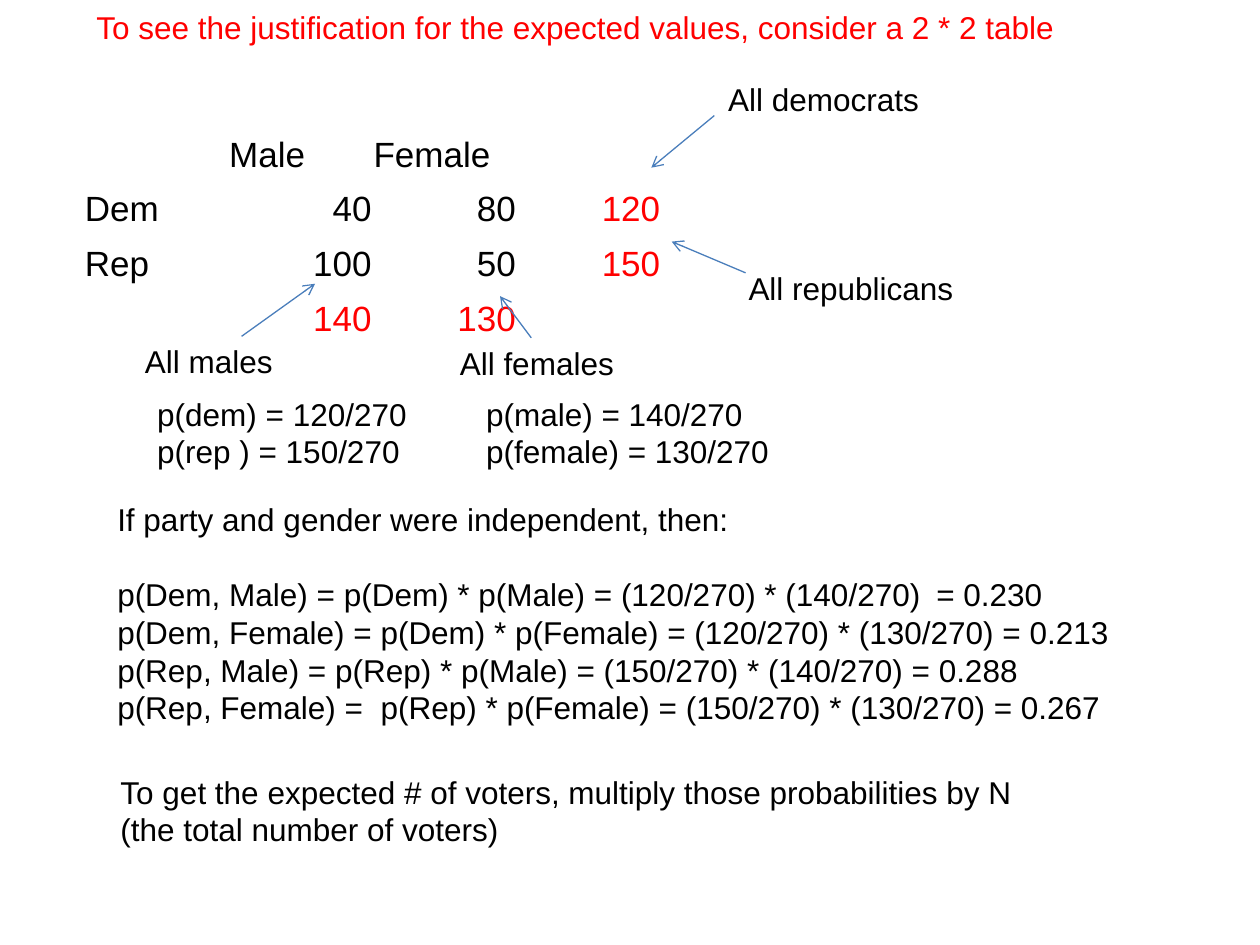
from dataclasses import dataclass

from lxml import etree
from pptx import Presentation
from pptx.dml.color import RGBColor
from pptx.enum.shapes import MSO_CONNECTOR
from pptx.enum.text import MSO_ANCHOR, MSO_AUTO_SIZE, PP_ALIGN
from pptx.oxml.ns import qn
from pptx.util import Cm, Pt

STRAIGHT = MSO_CONNECTOR.STRAIGHT
TOP, BOTTOM = MSO_ANCHOR.TOP, MSO_ANCHOR.BOTTOM
LEFT, RIGHT = PP_ALIGN.LEFT, PP_ALIGN.RIGHT
NO_AUTOFIT = MSO_AUTO_SIZE.NONE


@dataclass(frozen=True)
class Theme:
    font: str = "Arial"
    text: RGBColor = RGBColor(0, 0, 0)
    accent: RGBColor = RGBColor(0xFF, 0, 0)
    arrow: RGBColor = RGBColor(0x4A, 0x7E, 0xBB)
    body_size: Pt = Pt(18)
    table_size: Pt = Pt(20)
    arrow_width: Pt = Pt(0.75)


THEME = Theme()

# Table content: row totals are the last column, column totals the last row
COUNTS = [
    ["", "Male", "Female", ""],
    ["Dem", "40", "80", "120"],
    ["Rep", "100", "50", "150"],
    ["", "140", "130", ""],
    ["", "", "", ""],
]
TOTALS_ROW, TOTALS_COLUMN = 3, 3

# Text boxes: left, top, width, height in cm, then the lines
NOTES = [
    (14.43, 1.48, 4.7, 1.02, ["All democrats"]),
    (14.84, 5.29, 4.8, 1.02, ["All republicans"]),
    (2.67, 6.78, 3.48, 1.02, ["All males"]),
    (9.02, 6.81, 6.86, 1.02, ["All females"]),
    (2.92, 7.83, 5.7, 1.78, ["p(dem) = 120/270", "p(rep ) = 150/270"]),
    (9.55, 7.83, 6.4, 1.78, ["p(male) = 140/270", "p(female) = 130/270"]),
    (2.18, 15.45, 18.9, 2.54, [
        "To get the expected # of voters, multiply those probabilities by N",
        "(the total number of voters)",
    ]),
]

# Arrows: start x, start y, end x, end y in cm
ARROWS = [
    (14.4, 2.33, 13.13, 3.38),
    (15.03, 5.5, 13.54, 4.87),
    (10.71, 6.81, 10.08, 5.97),
    (4.87, 6.78, 6.35, 5.72),
]

INDEPENDENCE = [
    "If party and gender were independent, then:",
    "p(Dem, Male) = p(Dem) * p(Male) = (120/270) * (140/270)\t= 0.230",
    "p(Dem, Female) = p(Dem) * p(Female) = (120/270) * (130/270) = 0.213",
    "p(Rep, Male) = p(Rep) * p(Male) = (150/270) * (140/270) = 0.288",
    "p(Rep, Female) =  p(Rep) * p(Female) = (150/270) * (130/270) = 0.267",
]
RESULT_TAB = Cm(16.92)


def apply_format(target, values):
    for name, value in values.items():
        setattr(target, name, value)


def write_lines(frame, lines, color=THEME.text, size=THEME.body_size, align=LEFT):
    """Fill a text frame with one paragraph per line."""
    for index, line in enumerate(lines):
        para = frame.paragraphs[0] if index == 0 else frame.add_paragraph()
        apply_format(para, {"alignment": align, "space_before": Pt(0)})
        span = para.add_run()
        span.text = line
        apply_format(span.font, {"name": THEME.font, "size": size})
        span.font.color.rgb = color


def place(box, left, top, width, height):
    apply_format(box, {"left": Cm(left), "top": Cm(top),
                       "width": Cm(width), "height": Cm(height)})


def fill_placeholder(box, bounds, lines, color=THEME.text):
    place(box, *bounds)
    apply_format(box.text_frame, {"auto_size": NO_AUTOFIT, "word_wrap": True,
                                  "vertical_anchor": TOP})
    write_lines(box.text_frame, lines, color)


def remove_bullet(para):
    properties = para._p.get_or_add_pPr()
    properties.set("marL", "0")
    properties.set("indent", "0")
    etree.SubElement(properties, qn("a:buNone"))


def add_tab_stop(para, position):
    tabs = etree.SubElement(para._p.get_or_add_pPr(), qn("a:tabLst"))
    etree.SubElement(tabs, qn("a:tab"), pos=str(position), algn="l")


def add_note(page, left, top, width, height, lines):
    box = page.shapes.add_textbox(Cm(left), Cm(top), Cm(width), Cm(height))
    box.text_frame.word_wrap = True
    write_lines(box.text_frame, lines)


def add_arrow(page, *ends):
    arrow = page.shapes.add_connector(STRAIGHT, *map(Cm, ends))
    arrow.line.width = THEME.arrow_width
    arrow.line.color.rgb = THEME.arrow
    etree.SubElement(arrow.line._get_or_add_ln(), qn("a:tailEnd"), type="arrow")
    etree.SubElement(arrow._element.spPr, qn("a:effectLst"))


def add_counts_table(page, left, top, column_width, row_height):
    rows, columns = len(COUNTS), len(COUNTS[0])
    table = page.shapes.add_table(
        rows, columns, Cm(left), Cm(top),
        Cm(column_width * columns), Cm(row_height * rows)).table
    apply_format(table, {"first_row": False, "horz_banding": False})
    for row_index, row in enumerate(COUNTS):
        for column_index, value in enumerate(row):
            cell = table.cell(row_index, column_index)
            cell.fill.background()
            apply_format(cell, {"vertical_anchor": BOTTOM,
                                "margin_left": Cm(0.02), "margin_right": Cm(0.02)})
            if value:
                is_total = row_index == TOTALS_ROW or column_index == TOTALS_COLUMN
                write_lines(cell.text_frame, [value],
                            THEME.accent if is_total else THEME.text,
                            THEME.table_size,
                            RIGHT if value.isdigit() else LEFT)


def main():
    deck = Presentation()
    apply_format(deck, {"slide_width": Cm(25.4), "slide_height": Cm(19.05)})
    page = deck.slides.add_slide(deck.slide_layouts[1])
    title, body = page.placeholders

    # Heading
    fill_placeholder(
        title, (1.69, 0.03, 29.21, 1.02),
        ["To see the justification for the expected values, consider a 2 * 2 table"],
        THEME.accent)

    # Observed counts with their labels
    add_counts_table(page, 1.69, 2.55, 2.91, 1.1)
    for note in NOTES:
        add_note(page, *note)
    for arrow in ARROWS:
        add_arrow(page, *arrow)

    # Joint probabilities under independence
    fill_placeholder(body, (2.11, 9.96, 22.01, 4.83), INDEPENDENCE)
    paragraphs = body.text_frame.paragraphs
    paragraphs[0].space_after = Pt(21)
    for para in paragraphs:
        remove_bullet(para)
    add_tab_stop(paragraphs[1], RESULT_TAB)

    deck.save("out.pptx")


if __name__ == "__main__":
    main()
